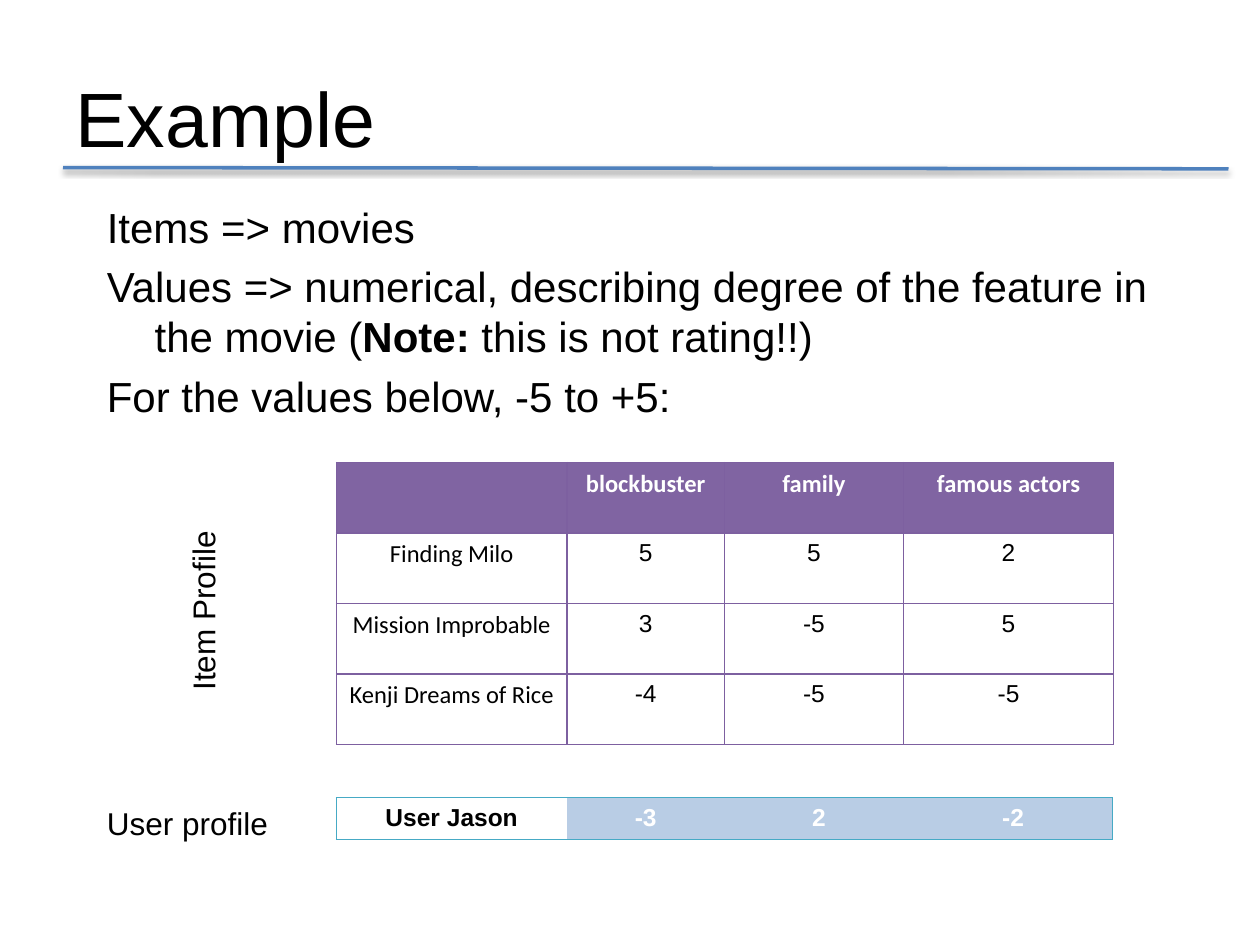
from dataclasses import dataclass

from lxml.etree import SubElement
from pptx import Presentation
from pptx.dml.color import RGBColor
from pptx.enum.shapes import MSO_CONNECTOR
from pptx.enum.text import MSO_ANCHOR, PP_ALIGN
from pptx.oxml.ns import qn
from pptx.util import Inches, Pt


@dataclass(frozen=True)
class Theme:
    """Colours, fonts and type sizes of the slide."""
    black: str = "000000"
    white: str = "FFFFFF"
    rule: str = "4F81BD"
    header: str = "8064A2"
    item_border: str = "7D60A0"
    user_border: str = "46AAC5"
    user_fill: str = "B9CDE5"
    sans: str = "Arial"
    label: str = "Calibri"
    title_size: int = 44
    body_size: int = 24
    caption_size: int = 18
    cell_size: int = 14


THEME = Theme()
BODY = [
    ["Items => movies"],
    ["Values => numerical, describing degree of the feature in the movie (",
     "Note: ", "this is not rating!!)"],
    ["For the values below, -5 to +5:"],
]
ITEMS = [
    ["", "blockbuster", "family", "famous actors"],
    ["Finding Milo", "5", "5", "2"],
    ["Mission Improbable", "3", "-5", "5"],
    ["Kenji Dreams of Rice", "-4", "-5", "-5"],
]
USER = [["User Jason", "-3", "2", "-2"]]


def style(font, size, color=THEME.black, name=THEME.sans, bold=False):
    """Format one font."""
    font.size, font.name, font.bold = Pt(size), name, bold
    font.color.rgb = RGBColor.from_string(color)


def add_title(page, text):
    """Place and format the title placeholder."""
    title = page.shapes.title
    title.left, title.top = Inches(0.5), Inches(0.3)
    title.width, title.height = Inches(9), Inches(1.25)
    title.text_frame.text = text
    title.text_frame.vertical_anchor = MSO_ANCHOR.MIDDLE
    para = title.text_frame.paragraphs[0]
    para.alignment = PP_ALIGN.LEFT
    style(para.runs[0].font, THEME.title_size)


def add_rule(page):
    """Draw the title rule with its soft shadow."""
    rule = page.shapes.add_connector(
        MSO_CONNECTOR.STRAIGHT, Inches(0.5), Inches(1.33), Inches(9.75), Inches(1.34))
    rule.line.width = Pt(2)
    rule.line.color.rgb = RGBColor.from_string(THEME.rule)
    effects = SubElement(rule._element.spPr, qn("a:effectLst"))
    shadow = SubElement(effects, qn("a:outerShdw"), blurRad=str(Pt(3.1)),
                        dist=str(Pt(1.6)), dir="5400000", rotWithShape="0")
    color = SubElement(shadow, qn("a:srgbClr"), val=THEME.black)
    SubElement(color, qn("a:alpha"), val="38000")


def add_text(page, left, top, width, height):
    """Add a wrapping text box and return its text frame."""
    box = page.shapes.add_textbox(Inches(left), Inches(top), Inches(width), Inches(height))
    box.text_frame.word_wrap = True
    return box.text_frame


def add_body(page, paragraphs):
    """Write hanging paragraphs, with every second span in bold."""
    frame = add_text(page, 0.75, 1.55, 9, 5.37)
    for index, spans in enumerate(paragraphs):
        para = frame.paragraphs[0] if index == 0 else frame.add_paragraph()
        para.space_before = Pt(5)
        properties = para._p.get_or_add_pPr()
        properties.set("marL", str(Inches(0.38)))
        properties.set("indent", str(-Inches(0.38)))
        for position, text in enumerate(spans):
            span = para.add_run()
            span.text = text
            style(span.font, THEME.body_size, bold=position % 2 == 1)


def add_caption(page, text, left, top, width, height, vertical=False):
    """Add a table caption, optionally reading upwards."""
    frame = add_text(page, left, top, width, height)
    frame.text = text
    style(frame.paragraphs[0].runs[0].font, THEME.caption_size)
    if vertical:
        frame._txBody.bodyPr.set("vert", "vert270")


def set_border(cell, color, sides):
    """Draw the named sides of a cell and clear the others."""
    properties = cell._tc.get_or_add_tcPr()
    for side in "LRTB":
        line = SubElement(properties, qn(f"a:ln{side}"), w=str(Pt(0.75)))
        if side in sides:
            fill = SubElement(line, qn("a:solidFill"))
            SubElement(fill, qn("a:srgbClr"), val=color)
        else:
            SubElement(line, qn("a:noFill"))


def fill_cell(cell, text, fill, color, name, bold):
    """Fill a cell and write its centred text."""
    if fill:
        cell.fill.solid()
        cell.fill.fore_color.rgb = RGBColor.from_string(fill)
    else:
        cell.fill.background()
    cell.text_frame.text = text
    para = cell.text_frame.paragraphs[0]
    para.alignment = PP_ALIGN.CENTER
    style(para.font, THEME.cell_size, color, name, bold)
    for span in para.runs:
        style(span.font, THEME.cell_size, color, name, bold)


def item_look(row, column):
    """Return fill, text colour, font, weight and border sides of an item cell."""
    if row == 0:
        return THEME.header, THEME.white, THEME.label, True, "LRTB"
    return None, THEME.black, THEME.label if column == 0 else THEME.sans, False, "LRTB"


def user_look(row, column):
    """Return fill, text colour, font, weight and border sides of a user cell."""
    if column == 0:
        return None, THEME.black, THEME.sans, True, "LTB"
    return THEME.user_fill, THEME.white, THEME.sans, True, "RTB" if column == 3 else "TB"


def add_grid(page, rows, top, widths, row_height, border, look):
    """Add a table whose cells are formatted by the look function."""
    table = page.shapes.add_table(
        len(rows), len(widths), Inches(2.67), Inches(top),
        Inches(sum(widths)), Inches(row_height * len(rows))).table
    table.first_row = table.horz_banding = False
    for column, width in zip(table.columns, widths):
        column.width = Inches(width)
    for row_index, row in enumerate(rows):
        for column_index, text in enumerate(row):
            cell = table.cell(row_index, column_index)
            fill, color, name, bold, sides = look(row_index, column_index)
            set_border(cell, border, sides)
            fill_cell(cell, text, fill, color, name, bold)


def main():
    """Build the slide and save the deck."""
    deck = Presentation()
    deck.slide_width, deck.slide_height = Inches(10), Inches(7.5)
    page = deck.slides.add_slide(deck.slide_layouts[5])
    add_title(page, "Example")
    add_rule(page)
    add_body(page, BODY)
    add_grid(page, ITEMS, 3.67, [1.83, 1.25, 1.42, 1.67], 0.56, THEME.item_border, item_look)
    add_grid(page, USER, 6.33, [1.83, 1.25, 1.5, 1.58], 0.32, THEME.user_border, user_look)
    add_caption(page, "Item Profile", 1.41, 4.08, 0.5, 1.5, vertical=True)
    add_caption(page, "User profile", 0.75, 6.33, 1.67, 0.4)
    deck.save("out.pptx")


if __name__ == "__main__":
    main()
